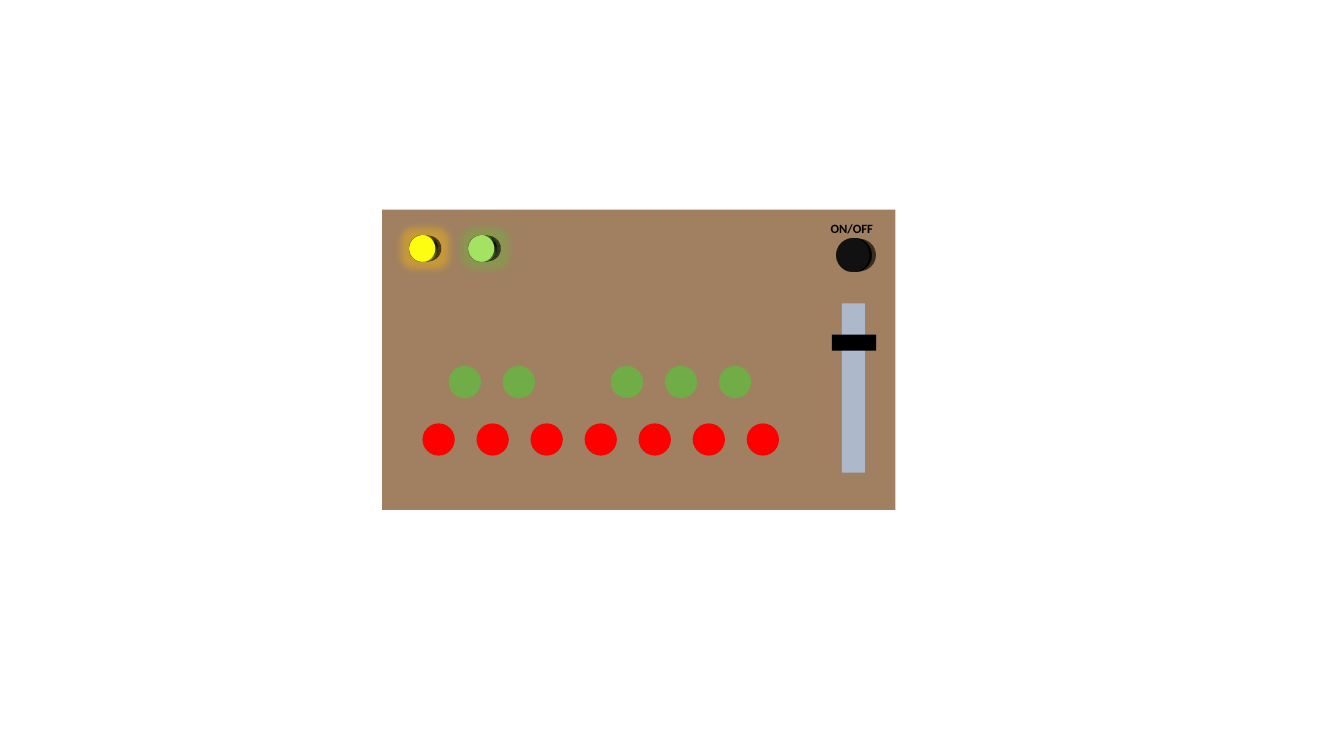
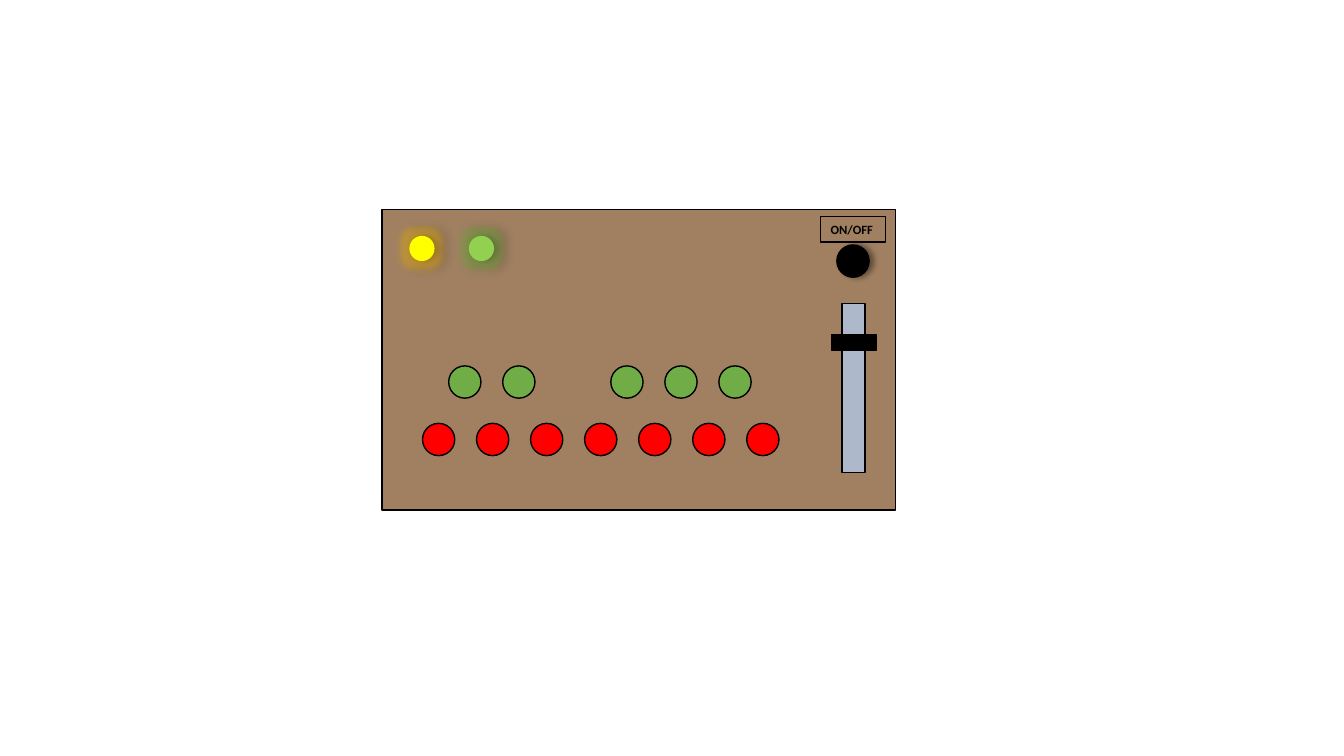
from dataclasses import dataclass

import lxml.etree
import pptx
import pptx.dml.color
import pptx.enum.shapes
import pptx.enum.text
import pptx.oxml
import pptx.oxml.ns
import pptx.util

Inches = pptx.util.Inches
OVAL = pptx.enum.shapes.MSO_SHAPE.OVAL
RECTANGLE = pptx.enum.shapes.MSO_SHAPE.RECTANGLE


@dataclass(frozen=True)
class Theme:
    wood: str = "663300"
    wood_opacity: int = 62
    red: str = "FF0000"
    green: str = "70AD47"
    yellow: str = "FFFF00"
    lime: str = "92D050"
    yellow_glow: str = "FFC000"
    green_glow: str = "6CB838"
    rail: str = "ADB9CA"
    black: str = "000000"
    font: str = "Calibri"
    label_size: int = 9
    line_width: int = 1


@dataclass(frozen=True)
class Look:
    """How one version of the instrument is finished."""
    outlined: bool
    raised: bool
    knob_top: float
    label_top: float


@dataclass(frozen=True)
class Box:
    left: float
    top: float
    width: float
    height: float

    def inside(self, left, top, width, height):
        return Box(self.left + left, self.top + top, width, height)

    def lengths(self):
        return [Inches(n) for n in (self.left, self.top, self.width, self.height)]


THEME = Theme()
BUTTON = 0.32
LAMP = 0.25
PITCH = 0.536


# Drawing helpers
def add_xml(parent, tag, **attributes):
    element = lxml.etree.SubElement(parent, pptx.oxml.ns.qn(tag))
    for name, value in attributes.items():
        element.set(name, str(value))
    return element


def add_color(parent, color, opacity):
    add_xml(add_xml(parent, "a:srgbClr", val=color), "a:alpha", val=opacity * 1000)


def set_line(shape, outlined):
    if outlined:
        shape.line.color.rgb = pptx.dml.color.RGBColor.from_string(THEME.black)
        shape.line.width = pptx.util.Pt(THEME.line_width)
    else:
        shape.line.fill.background()


def add_part(shapes, kind, box, color, outlined=False, opacity=100):
    shape = shapes.add_shape(kind, *box.lengths())
    shape.shadow.inherit = False
    shape.fill.solid()
    shape.fill.fore_color.rgb = pptx.dml.color.RGBColor.from_string(color)
    if opacity < 100:
        fill = shape.fill._xPr.find(".//" + pptx.oxml.ns.qn("a:srgbClr"))
        add_xml(fill, "a:alpha", val=opacity * 1000)
    set_line(shape, outlined)
    return shape


def add_effects(shape, glow=None):
    effects = shape._element.spPr.find(pptx.oxml.ns.qn("a:effectLst"))
    if glow:
        add_color(add_xml(effects, "a:glow", rad=pptx.util.Pt(11)), glow, 40)
    shadow = add_xml(effects, "a:outerShdw", blurRad=pptx.util.Pt(4),
                     dist=pptx.util.Pt(3), dir=0, algn="l", rotWithShape=0)
    add_color(shadow, THEME.black, 40)


def raise_part(shape, camera="orthographicFront", material="plastic"):
    properties = shape._element.spPr
    scene = add_xml(properties, "a:scene3d")
    add_xml(scene, "a:camera", prst=camera)
    add_xml(scene, "a:lightRig", rig="threePt", dir="t")
    add_xml(properties, "a:sp3d", extrusionH=pptx.util.Pt(6), prstMaterial=material)


def add_text(shapes, box, text, *, size, color, bold=False, outlined=False):
    shape = shapes.add_textbox(*box.lengths())
    set_line(shape, outlined)
    frame = shape.text_frame
    frame.word_wrap = False
    frame.auto_size = pptx.enum.text.MSO_AUTO_SIZE.SHAPE_TO_FIT_TEXT
    run = frame.paragraphs[0].add_run()
    run.text = text
    run.font.name = THEME.font
    run.font.size = pptx.util.Pt(size)
    run.font.bold = bold
    run.font.color.rgb = pptx.dml.color.RGBColor.from_string(color)
    return shape


# Regions of the instrument
def draw_panel(slide, box, look):
    panel = add_part(slide.shapes, RECTANGLE, box, THEME.wood,
                     look.outlined, THEME.wood_opacity)
    if look.raised:
        raise_part(panel, material="warmMatte")


def draw_keys(slide, box, look):
    keys = slide.shapes.add_group_shape().shapes
    rows = ((0.4, 2.12, THEME.red, range(7)),
            (0.66, 1.55, THEME.green, (0, 1, 3, 4, 5)))
    for left, top, color, columns in rows:
        for column in columns:
            place = box.inside(left + column * PITCH, top, BUTTON, BUTTON)
            key = add_part(keys, OVAL, place, color, look.outlined)
            if look.raised:
                raise_part(key)


def draw_lamps(slide, box, look):
    lamps = slide.shapes.add_group_shape().shapes
    for left, color, glow in ((0.86, THEME.lime, THEME.green_glow),
                              (0.27, THEME.yellow, THEME.yellow_glow)):
        lamp = add_part(lamps, OVAL, box.inside(left, 0.26, LAMP, LAMP), color)
        add_effects(lamp, glow)
        if look.raised:
            raise_part(lamp, "obliqueRight")


def draw_slider(slide, box, look):
    slider = slide.shapes.add_group_shape().shapes
    add_part(slider, RECTANGLE, box.inside(4.56, 0.93, 0.23, 1.68), THEME.rail,
             look.outlined)
    add_part(slider, RECTANGLE, box.inside(4.46, 1.24, 0.44, 0.16), THEME.black,
             look.outlined)


def draw_power(slide, box, look):
    power = slide.shapes.add_group_shape().shapes
    knob = add_part(power, OVAL, box.inside(4.51, look.knob_top, BUTTON, BUTTON),
                    THEME.black, look.outlined)
    add_effects(knob)
    if look.raised:
        raise_part(knob, "obliqueRight")
    add_text(power, box.inside(4.35, look.label_top, 0.64, 0.25), "ON/OFF",
             size=THEME.label_size, color=THEME.black, bold=True,
             outlined=look.outlined)


def draw_instrument(slide, box, look):
    for draw in (draw_panel, draw_keys, draw_lamps, draw_slider, draw_power):
        draw(slide, box, look)


# Slides
presentation = pptx.Presentation()
presentation.slide_width = Inches(13.33)
presentation.slide_height = Inches(7.5)
blank_layout = presentation.slide_layouts[6]
instrument_box = Box(3.79, 2.08, 5.09, 2.98)
looks = (Look(outlined=False, raised=True, knob_top=0.29, label_top=0.06),
         Look(outlined=True, raised=False, knob_top=0.35, label_top=0.07))
for look in looks:
    draw_instrument(presentation.slides.add_slide(blank_layout), instrument_box, look)
presentation.save("out.pptx")
